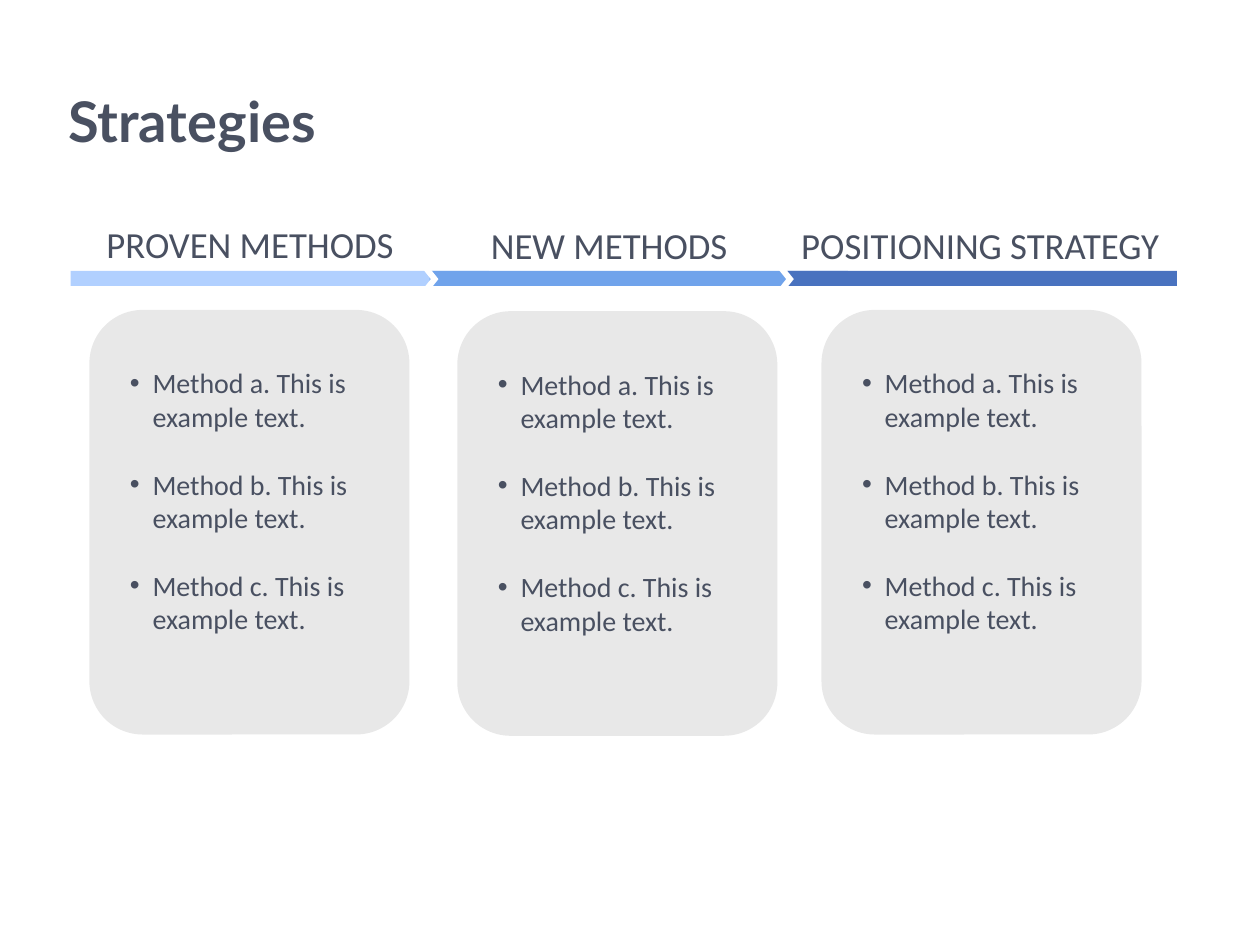
"""Build the Strategies slide with three columns of methods."""
from dataclasses import dataclass

from lxml.etree import SubElement
from pptx import Presentation
from pptx.dml.color import RGBColor
from pptx.enum.shapes import MSO_SHAPE
from pptx.enum.text import MSO_ANCHOR, PP_ALIGN
from pptx.oxml.ns import qn
from pptx.shapes.autoshape import Shape
from pptx.slide import Slide
from pptx.text.text import TextFrame
from pptx.util import Inches, Pt

INK = "495061"
CARD_GREY = "E8E8E8"
WHITE = "FFFFFF"
BAR_TOP, BAR_HEIGHT = 2.15, 0.12
METHODS = [f"Method {letter}. This is example text." for letter in "abc"]


@dataclass(frozen=True)
class Box:
    """Position and size in inches."""

    left: float
    top: float
    width: float
    height: float

    def lengths(self) -> list[Inches]:
        """Return the four measures as lengths."""
        return [Inches(v) for v in (self.left, self.top, self.width, self.height)]


@dataclass(frozen=True)
class Strategy:
    """A heading over a coloured bar and a card of methods."""

    heading: str
    heading_box: Box
    bar_left: float
    bar_width: float
    bar_color: str
    card_left: float
    card_top: float


STRATEGIES = [
    Strategy("PROVEN METHODS", Box(0.56, 1.71, 2.85, 0.45), 0.56, 3.32, "B1D0FF", 0.71, 2.46),
    Strategy("NEW METHODS", Box(3.41, 1.72, 2.85, 0.45), 3.41, 3.32, "70A3EB", 3.63, 2.47),
    Strategy("POSITIONING STRATEGY", Box(6.23, 1.72, 3.1, 0.45), 6.25, 3.09, "4972BF", 6.52, 2.46),
]
CHEVRON_LEFTS = [3.36, 6.18]


def color(hex_code: str) -> RGBColor:
    """Turn a hex string into a colour."""
    return RGBColor.from_string(hex_code)


def write(frame: TextFrame, lines: list[str], *, size: float, font: str = "Calibri",
          bold: bool = False, align: PP_ALIGN = PP_ALIGN.LEFT,
          anchor: MSO_ANCHOR = MSO_ANCHOR.TOP, bullet: str = "", gap: float = 0) -> None:
    """Fill a text frame with one paragraph per line."""
    frame.word_wrap = True
    frame.vertical_anchor = anchor
    for index, line in enumerate(lines):
        paragraph = frame.add_paragraph() if index else frame.paragraphs[0]
        paragraph.alignment = align
        if index:
            paragraph.space_before = Pt(gap)
        if bullet:
            add_bullet(paragraph, bullet)
        run = paragraph.add_run()
        run.text = line
        run.font.size = Pt(size)
        run.font.name = font
        run.font.bold = bold
        run.font.color.rgb = color(INK)


def add_bullet(paragraph, character: str) -> None:
    """Give a paragraph a hanging bullet in the text colour."""
    properties = paragraph._p.get_or_add_pPr()
    properties.set("marL", str(Inches(0.28)))
    properties.set("indent", str(Inches(-0.18)))
    bullet_color = SubElement(properties, qn("a:buClr"))
    SubElement(bullet_color, qn("a:srgbClr"), val=INK)
    SubElement(properties, qn("a:buFont"), typeface="Arial")
    SubElement(properties, qn("a:buChar"), char=character)


def add_panel(slide: Slide, preset: MSO_SHAPE, box: Box, fill: str) -> Shape:
    """Draw a flat filled shape without outline."""
    panel = slide.shapes.add_shape(preset, *box.lengths())
    panel.shadow.inherit = False
    panel.fill.solid()
    panel.fill.fore_color.rgb = color(fill)
    panel.line.fill.background()
    return panel


def add_heading(slide: Slide, strategy: Strategy) -> None:
    """Draw a column heading and its bar."""
    heading = slide.shapes.add_textbox(*strategy.heading_box.lengths())
    write(heading.text_frame, [strategy.heading], size=21, align=PP_ALIGN.CENTER)
    bar = Box(strategy.bar_left, BAR_TOP, strategy.bar_width, BAR_HEIGHT)
    add_panel(slide, MSO_SHAPE.RECTANGLE, bar, strategy.bar_color)


def add_card(slide: Slide, strategy: Strategy) -> None:
    """Draw the rounded card with its bulleted methods."""
    box = Box(strategy.card_left, strategy.card_top, 2.54, 3.37)
    card = add_panel(slide, MSO_SHAPE.ROUNDED_RECTANGLE, box, CARD_GREY)
    card.text_frame.margin_top = Inches(0.32)
    write(card.text_frame, METHODS, size=16, bullet="•", gap=19.5)


def main() -> None:
    """Build and save the slide."""
    deck = Presentation()
    deck.slide_width, deck.slide_height = Inches(10), Inches(7.5)
    slide = deck.slides.add_slide(deck.slide_layouts[6])

    title = slide.shapes.add_textbox(*Box(0.04, 0.62, 9.96, 0.67).lengths())
    title.text_frame.margin_left = Inches(0.5)
    write(title.text_frame, ["Strategies"], size=32, font="Lato", bold=True,
          anchor=MSO_ANCHOR.MIDDLE)

    for strategy in STRATEGIES:
        add_heading(slide, strategy)
    for strategy in STRATEGIES:
        add_card(slide, strategy)
    for left in CHEVRON_LEFTS:
        add_panel(slide, MSO_SHAPE.CHEVRON, Box(left, 2.14, 0.12, 0.15), WHITE)

    deck.save("out.pptx")


if __name__ == "__main__":
    main()
